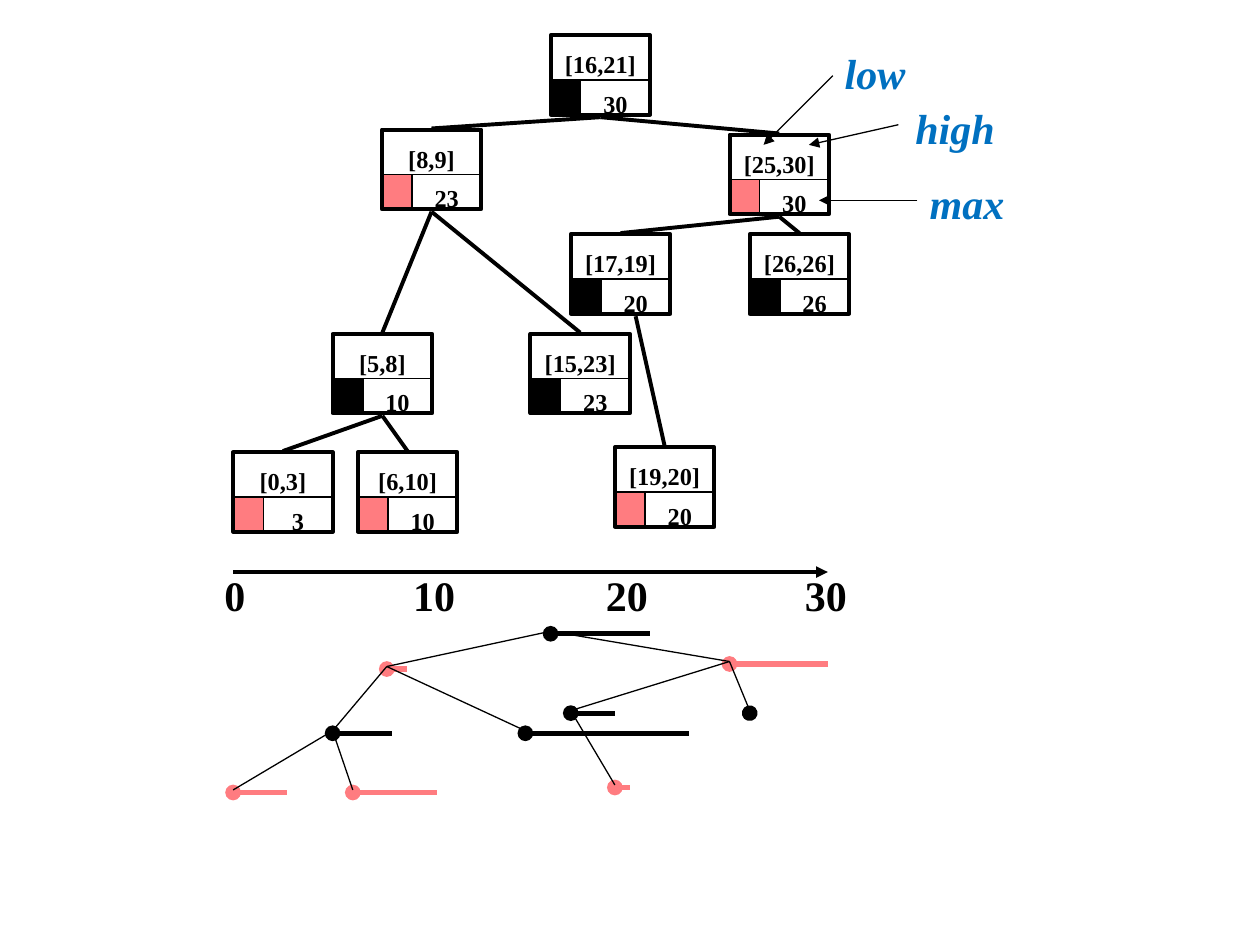
from collections import namedtuple
from lxml.etree import SubElement
from pptx import Presentation
from pptx.dml.color import RGBColor
from pptx.enum.shapes import MSO_CONNECTOR as Conn, MSO_SHAPE as Shape
from pptx.enum.text import MSO_ANCHOR as Anchor, PP_ALIGN as Align
from pptx.oxml.ns import qn
from pptx.util import Inches, Pt

THEME = dict(font="Times New Roman", size=24, black="000000", red="FF7C80",
             blue="0070C0", thin=0.75, thick=2.25, bar=3)
Node = namedtuple("Node", "label max colour box bar parent exit", defaults=[0])
NODES = [
    Node("[16,21]", "30", "black", (4.37, 0.28), (4.37, 5.16, 5.03, 5.03), None),
    Node("[8,9]", "23", "red", (3.03, 1.03), (3.07, 3.23, 5.31, 5.31), 0),
    Node("[25,30]", "30", "red", (5.79, 1.07), (5.79, 6.57, 5.27, 5.27), 0),
    Node("[5,8]", "10", "black", (2.64, 2.65), (2.64, 3.11, 5.82, 5.82), 1),
    Node("[15,23]", "23", "black", (4.21, 2.65), (4.17, 5.47, 5.82, 5.82), 1),
    Node("[17,19]", "20", "black", (4.53, 1.86), (4.53, 4.88, 5.66, 5.66), 2, 0.12),
    Node("[26,26]", "26", "black", (5.95, 1.86), (5.95, 5.91, 5.66, 5.7), 2),
    Node("[0,3]", "3", "red", (1.85, 3.59), (1.85, 2.28, 6.29, 6.29), 3),
    Node("[6,10]", "10", "red", (2.84, 3.59), (2.8, 3.47, 6.29, 6.29), 3),
    Node("[19,20]", "20", "red", (4.88, 3.55), (4.88, 5, 6.25, 6.25), 5),
]
TICKS = [("0", 1.65), ("10", 3.23), ("20", 4.76), ("30", 6.34)]
CALLOUTS = [
    ("low", (6.61, 0.4, 0.67, 0.35), (6.61, 0.6, 6.06, 1.15)),
    ("high", (7.13, 0.84, 0.9, 0.35), (7.13, 0.99, 6.42, 1.15)),
    ("max", (7.28, 1.43, 0.79, 0.35), (7.28, 1.59, 6.5, 1.59)),
]
BOX_W, BOX_H, SPLIT_X, SPLIT_Y, LIFT = 0.79, 0.63, 0.24, 0.355, 0.02

prs = Presentation()
prs.slide_width, prs.slide_height = Inches(10), Inches(7.5)
s = prs.slides.add_slide(prs.slide_layouts[6])


def rgb(name):
    return RGBColor.from_string(THEME[name])


def add_line(ends, weight="thin", colour="black", head=None, tail=None):
    c = s.shapes.add_connector(Conn.STRAIGHT, *map(Inches, ends))
    c.line.color.rgb, c.line.width = rgb(colour), Pt(THEME[weight])
    ln = c.line._get_or_add_ln()
    for tag, kind in (("a:headEnd", head), ("a:tailEnd", tail)):
        if kind:
            SubElement(ln, qn(tag), type=kind)
    SubElement(c._element.spPr, qn("a:effectLst"))


def add_text(sp, text, colour="black", italic=None, baseline=None):
    tf = sp.text_frame
    tf.text, tf.word_wrap, tf.vertical_anchor = text, False, Anchor.MIDDLE
    tf.margin_left = tf.margin_right = 0
    p = tf.paragraphs[0]
    p.alignment = Align.CENTER
    f = p.runs[0].font
    f.name, f.size, f.bold, f.italic = THEME["font"], Pt(THEME["size"]), True, italic
    f.color.rgb = rgb(colour)
    if baseline:
        f._element.set("baseline", baseline)


def add_label(text, at, **style):
    add_text(s.shapes.add_textbox(*map(Inches, at)), text, **style)


def add_rect(at, fill=None, weight="thin", text=None):
    sp = s.shapes.add_shape(Shape.RECTANGLE, *map(Inches, at))
    sp.shadow.inherit = False
    sp.line.color.rgb, sp.line.width = rgb("black"), Pt(THEME[weight])
    if fill:
        sp.fill.solid()
        sp.fill.fore_color.rgb = rgb(fill)
    else:
        sp.fill.background()
    if text:
        add_text(sp, text, baseline="2000")


def add_cells(node):
    x, y = node.box
    low_h = BOX_H - SPLIT_Y
    add_rect((x, y, BOX_W, SPLIT_Y), text=node.label)
    add_rect((x + SPLIT_X, y + SPLIT_Y, BOX_W - SPLIT_X, low_h), text=node.max)
    add_rect((x, y + SPLIT_Y, SPLIT_X, low_h), fill=node.colour)


links = [(NODES[n.parent], n) for n in NODES if n.parent is not None]

for n in NODES:
    x1, x2, y1, y2 = n.bar
    add_line((x1, y1, x2, y2), "bar", n.colour, head="oval")
for up, n in links:
    add_line((up.bar[0], up.bar[2] - LIFT, n.bar[0], n.bar[2] - LIFT))

add_line((1.85, 4.54, 6.57, 4.54), "thick", tail="triangle")
for text, x in TICKS:
    add_label(text, (x, 4.58, 0.43, 0.28))

for n in NODES:
    add_cells(n)
for n in NODES:
    add_rect((*n.box, BOX_W, BOX_H), weight="thick")
for up, n in links:
    add_line((up.box[0] + BOX_W / 2 + up.exit, up.box[1] + BOX_H + LIFT,
              n.box[0] + BOX_W / 2, n.box[1] - LIFT / 2), "thick")

for text, at, arrow in CALLOUTS:
    add_label(text, at, colour="blue", italic=True)
    add_line(arrow, tail="triangle")

prs.save("out.pptx")
